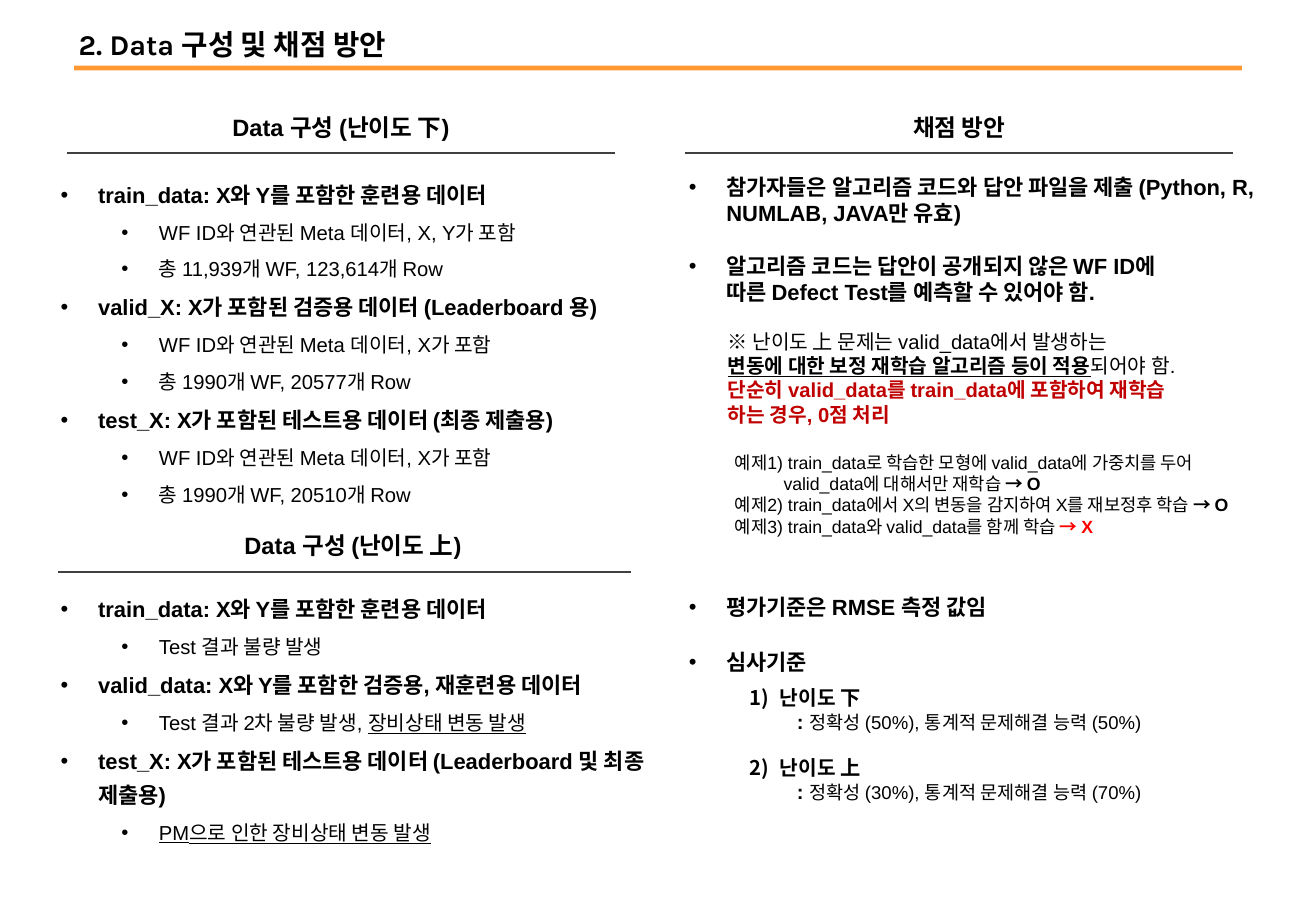
from lxml import etree
from pptx import Presentation, util as u
from pptx.dml.color import RGBColor
from pptx.enum import shapes, text
from pptx.oxml import ns

PX = 9144
BLACK = RGBColor(0, 0, 0)
GREY = RGBColor(0x40, 0x40, 0x40)
ORANGE = RGBColor(0xFF, 0x99, 0x33)
RED = RGBColor(0xFF, 0, 0)
DARK_RED = RGBColor(0xC0, 0, 0)

LOOKS = {
    "title": ("Karla", 17, True, False, BLACK),
    "heading": ("Arial", 14, True, False, BLACK),
    "lead": ("Arial", 13, True, False, BLACK),
    "strong": ("Arial", 12, True, False, BLACK),
    "plain": ("Arial", 12, False, False, BLACK),
    "under": ("Arial", 12, False, True, BLACK),
    "strong_under": ("Arial", 12, True, True, BLACK),
    "warning": ("Arial", 12, True, False, DARK_RED),
    "detail": ("Arial", 11, False, False, BLACK),
    "example": ("Arial", 10.5, False, False, BLACK),
    "pass": ("Arial", 10.5, True, False, BLACK),
    "fail": ("Arial", 10.5, True, False, RED),
}

LAYOUTS = {
    "body": (0, 0, 0, 1, 0, None),
    "topic": (0, 31, -31, 1.3, 3, "•"),
    "point": (1, 81, -31, 1.3, 3, "•"),
    "rule": (0, 31, -31, 1, 15.5, "•"),
    "criteria": (0, 31, -31, 1, 17, "•"),
    "first": (1, 75, -25, 1, 6, 1),
    "second": (1, 75, -25, 1, 12.5, 2),
    "weights": (1, 89, 0, 1, 0, None),
    "continued": (0, 40, 0, 1, 0, None),
}

TITLE = "2. Data 구성 및 채점 방안"
HEADINGS = [
    ("Data 구성 (난이도 下)", 55, 88, 451, 55, 126),
    ("채점 방안", 564, 88, 451, 564, 126),
    ("Data 구성 (난이도 上)", 55, 432, 471, 48, 471),
]


def topic(words):
    return "topic", [(words, "lead")]


def point(words):
    return "point", [(words, "plain")]


EASY_DATA = [
    topic("train_data: X와 Y를 포함한 훈련용 데이터"),
    point("WF ID와 연관된 Meta 데이터, X, Y가 포함"),
    point("총 11,939개 WF, 123,614개 Row"),
    topic("valid_X: X가 포함된 검증용 데이터 (Leaderboard 용)"),
    point("WF ID와 연관된 Meta 데이터, X가 포함"),
    point("총 1990개 WF, 20577개 Row"),
    topic("test_X: X가 포함된 테스트용 데이터 (최종 제출용)"),
    point("WF ID와 연관된 Meta 데이터, X가 포함"),
    point("총 1990개 WF, 20510개 Row"),
]
HARD_DATA = [
    topic("train_data: X와 Y를 포함한 훈련용 데이터"),
    point("Test 결과 불량 발생"),
    topic("valid_data: X와 Y를 포함한 검증용, 재훈련용 데이터"),
    ("point", [("Test 결과 2차 불량 발생, ", "plain"), ("장비상태 변동 발생", "under")]),
    topic("test_X: X가 포함된 테스트용 데이터 (Leaderboard 및 최종 제출용)"),
    ("point", [("PM으로 인한 장비상태 변동 발생", "under")]),
]
SUBMISSION = [
    ("rule", [("참가자들은 알고리즘 코드와 답안 파일을 제출 (Python, R, NUMLAB, JAVA만 유효)", "lead")]),
    ("rule", [("알고리즘 코드는 답안이 공개되지 않은 WF ID에\n따른 Defect Test를 예측할 수 있어야 함.", "lead")]),
]
NOTICE = [
    ("body", [
        ("※ ", "strong"),
        ("난이도 上 문제는 valid_data에서 발생하는\n", "plain"),
        ("변동에 대한 보정 재학습 알고리즘 등이 적용", "strong_under"),
        ("되어야 함.\n", "plain"),
        ("단순히 valid_data를 train_data에 포함하여 재학습\n하는 경우, 0점 처리", "warning"),
    ]),
]
EXAMPLES = [
    ("body", [("예제1) train_data로 학습한 모형에 valid_data에 가중치를 두어", "example")]),
    ("continued", [("valid_data에 대해서만 재학습 ", "example"), ("→ O", "pass")]),
    ("body", [("예제2) train_data에서 X의 변동을 감지하여 X를 재보정후 학습 ", "example"), ("→ O", "pass")]),
    ("body", [("예제3) train_data와 valid_data를 함께 학습 ", "example"), ("→ X", "fail")]),
]
JUDGING = [
    ("rule", [("평가기준은 RMSE 측정 값임", "lead")]),
    ("criteria", [("심사기준", "lead")]),
    ("first", [("난이도 下", "strong")]),
    ("weights", [(": ", "strong"), ("정확성 (50%), 통계적 문제해결 능력 (50%)", "detail")]),
    ("second", [("난이도 上", "strong")]),
    ("weights", [(": ", "strong"), ("정확성 (30%), 통계적 문제해결 능력 (70%)", "detail")]),
]
BLOCKS = [
    (EASY_DATA, 40, 138, 510, 290),
    (HARD_DATA, 40, 479, 510, 230),
    (SUBMISSION, 557, 138, 500, 120),
    (NOTICE, 589, 266, 481, 93),
    (EXAMPLES, 595, 367, 474, 80),
    (JUDGING, 557, 484, 500, 190),
]


def lengths(*values):
    return [u.Emu(value * PX) for value in values]


def add_spans(para, runs):
    for words, look in runs:
        name, size, bold, underline, color = LOOKS[look]
        for number, line in enumerate(words.split("\n")):
            if number:
                para.add_line_break()
            if line:
                span = para.add_run()
                span.text = line
                span.font.name = name
                span.font.size = u.Pt(size)
                span.font.bold = bold
                span.font.underline = underline
                span.font.color.rgb = color


def add_marker(para, marker):
    props = para._p.get_or_add_pPr()
    if marker is None:
        etree.SubElement(props, ns.qn("a:buNone"))
    elif marker == "•":
        etree.SubElement(props, ns.qn("a:buFont"), typeface="Arial")
        etree.SubElement(props, ns.qn("a:buChar"), char=marker)
    else:
        etree.SubElement(props, ns.qn("a:buAutoNum"), type="arabicParenR", startAt=str(marker))


def add_text(page, paragraphs, place, anchor=text.MSO_ANCHOR.TOP, align=text.PP_ALIGN.LEFT):
    frame = page.shapes.add_textbox(*lengths(*place)).text_frame
    frame.word_wrap = True
    frame.vertical_anchor = anchor
    for number, (layout, runs) in enumerate(paragraphs):
        level, margin, indent, spacing, before, marker = LAYOUTS[layout]
        para = frame.add_paragraph() if number else frame.paragraphs[0]
        para.level = level
        para.alignment = align
        para.line_spacing = spacing
        para.space_before = u.Pt(before if number else 0)
        props = para._p.get_or_add_pPr()
        props.set("marL", str(margin * PX))
        props.set("indent", str(indent * PX))
        add_marker(para, marker)
        add_spans(para, runs)


def add_rule(page, left, top, width):
    rule = page.shapes.add_connector(
        shapes.MSO_CONNECTOR.STRAIGHT, *lengths(left, top, left + width, top))
    rule.line.color.rgb = GREY
    rule.line.width = u.Pt(1)
    etree.SubElement(rule._element.spPr, ns.qn("a:effectLst"))


def main():
    deck = Presentation()
    deck.slide_width, deck.slide_height = lengths(1083, 750)
    page = deck.slides.add_slide(deck.slide_layouts[6])

    bar = page.shapes.add_shape(shapes.MSO_SHAPE.RECTANGLE, *lengths(61, 54, 961, 4))
    bar.shadow.inherit = False
    bar.fill.solid()
    bar.fill.fore_color.rgb = ORANGE
    bar.line.fill.background()
    add_text(page, [("body", [(TITLE, "title")])], (55, 17, 864, 38), text.MSO_ANCHOR.BOTTOM)

    for words, left, top, width, rule_left, rule_top in HEADINGS:
        add_rule(page, rule_left, rule_top, width)
        add_text(page, [("body", [(words, "heading")])], (left, top, width, 34),
                 text.MSO_ANCHOR.MIDDLE, text.PP_ALIGN.CENTER)

    for paragraphs, *place in BLOCKS:
        add_text(page, paragraphs, place)

    deck.save("out.pptx")


if __name__ == "__main__":
    main()
